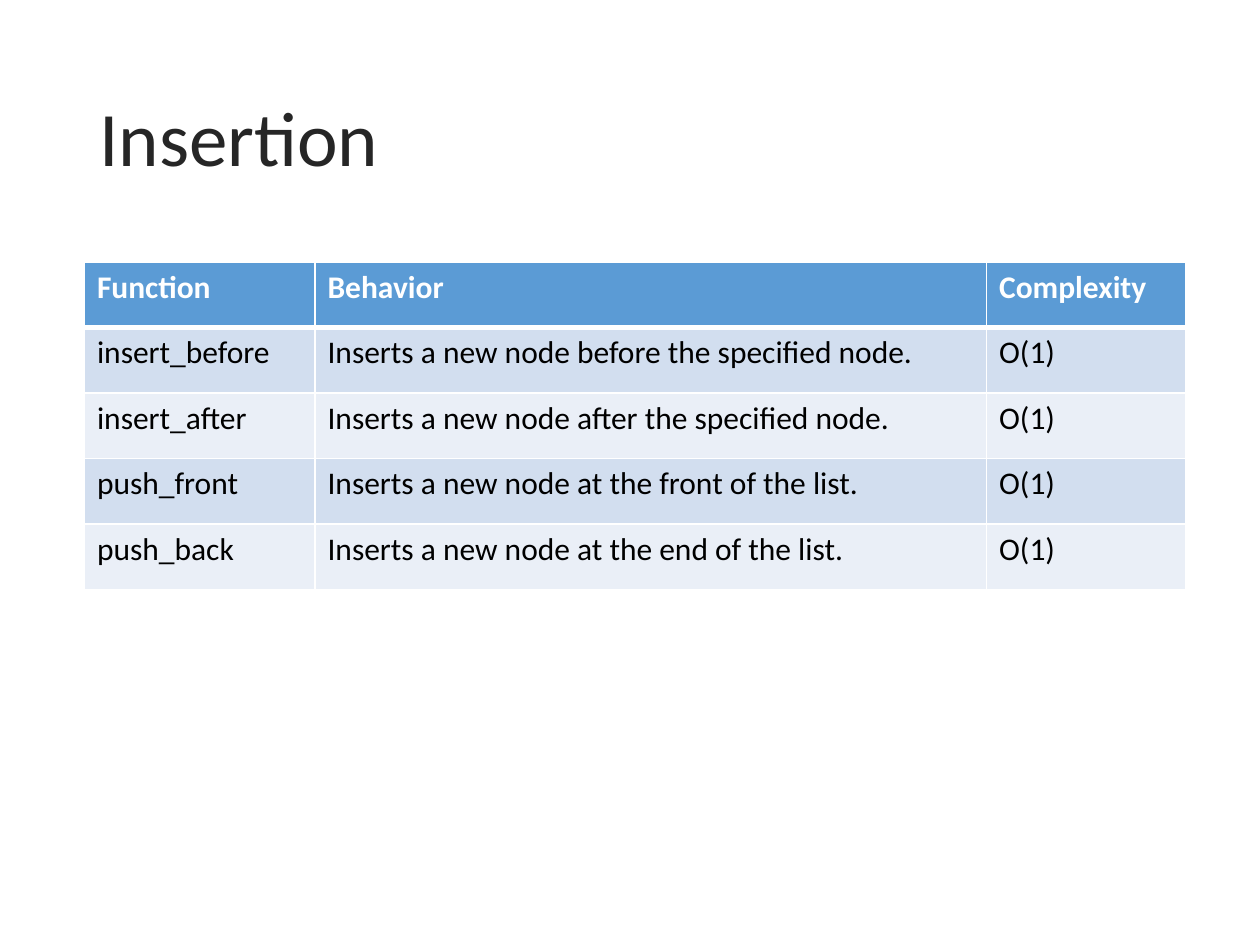
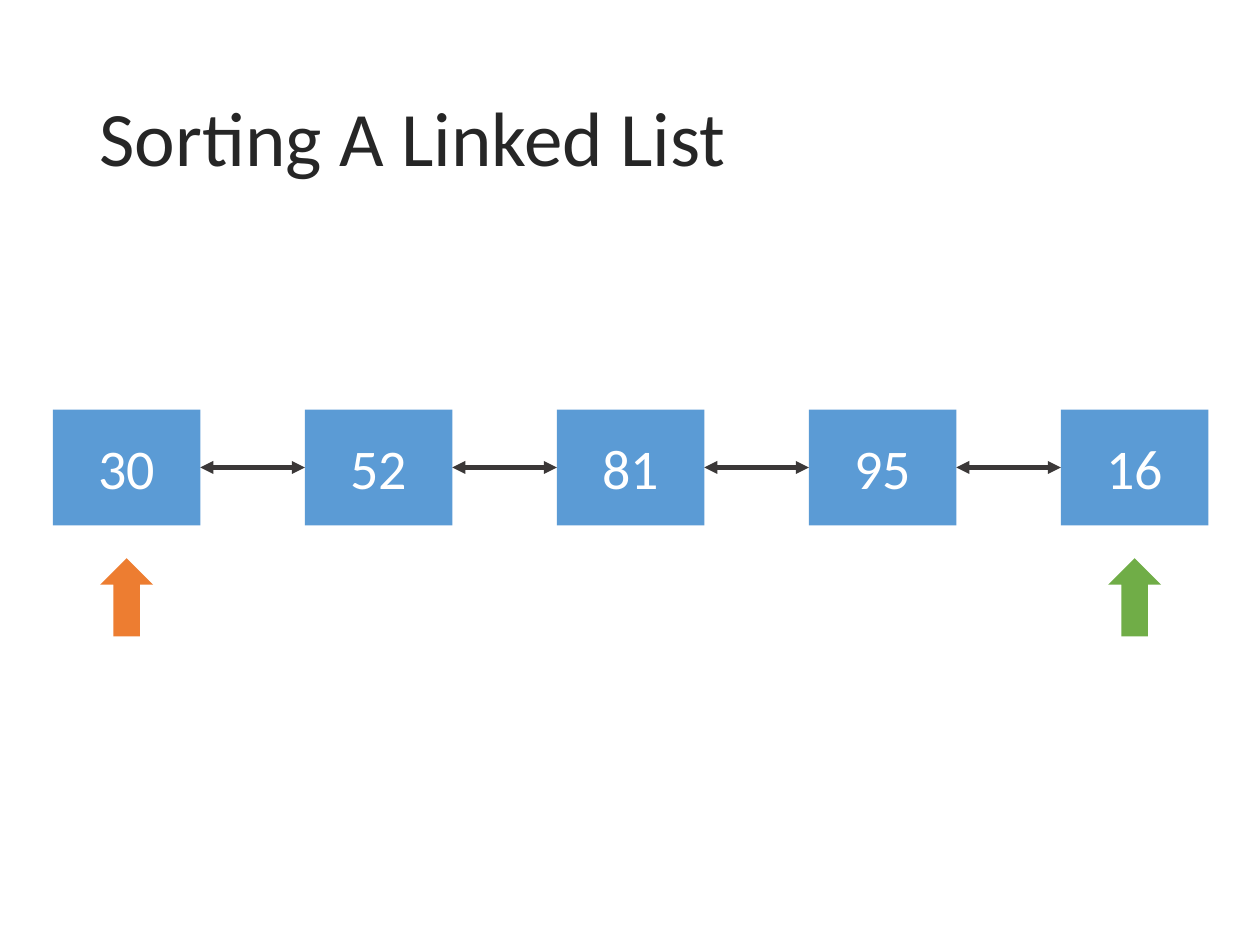
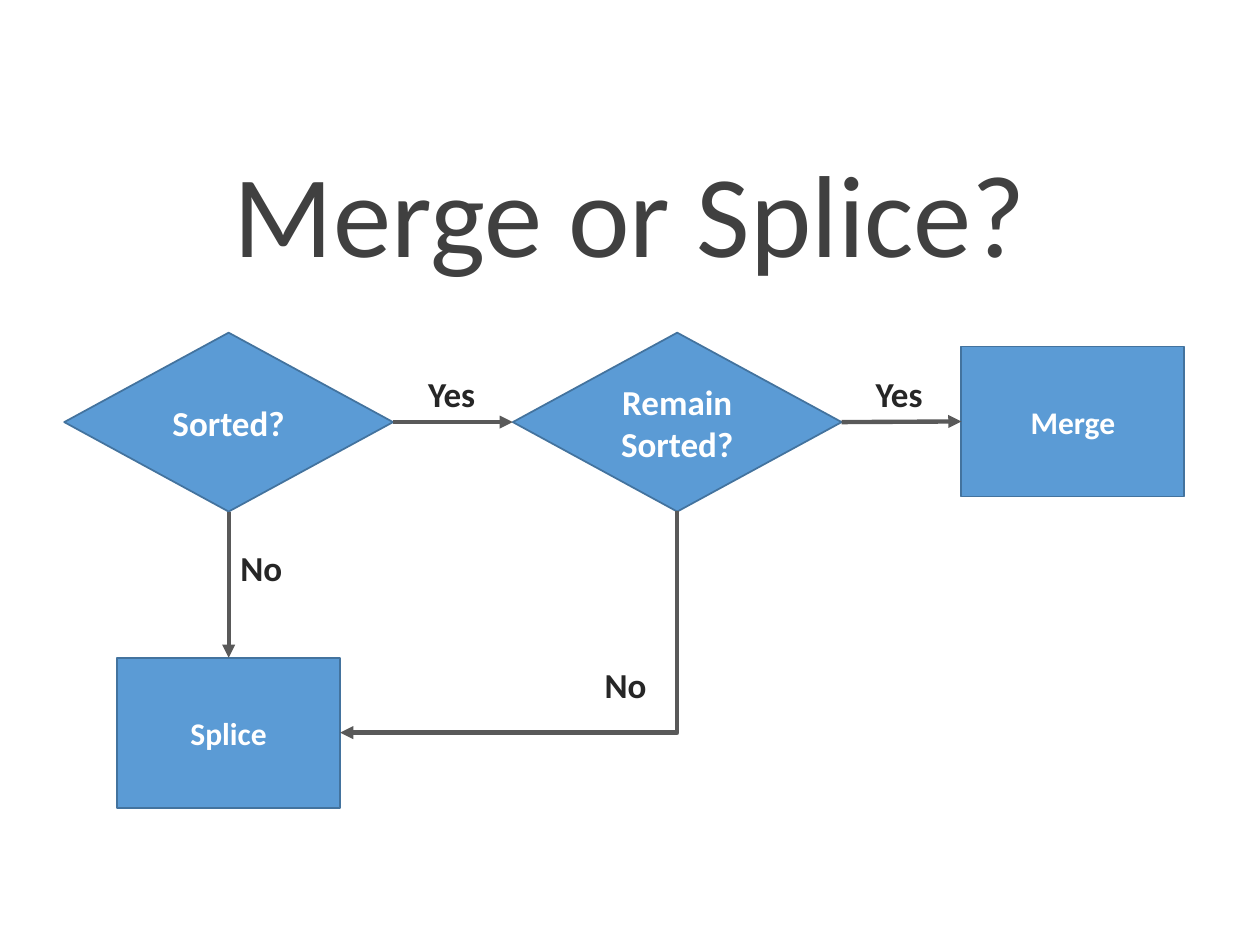
"""Build three slides on linked lists: a table, a node row and a flow chart."""
from dataclasses import dataclass

from pptx import Presentation
from pptx import util as u
from pptx.dml.color import RGBColor
from pptx.enum import shapes, text
from pptx.oxml.ns import qn
from lxml import etree

KIND = shapes.MSO_SHAPE
ALIGN = text.PP_ALIGN
TOP, LEFT, BOTTOM, RIGHT = range(4)


@dataclass(frozen=True)
class Theme:
    font: str = "Calibri"
    ink: str = "262626"
    soft: str = "404040"
    black: str = "000000"
    white: str = "FFFFFF"
    blue: str = "5B9BD5"
    edge: str = "43739E"
    bands: tuple = ("D2DEEF", "EAEFF7")
    link: str = "3B3838"
    flow: str = "595959"
    orange: str = "ED7D31"
    green: str = "70AD47"
    hero: float = 66.6
    title: float = 44
    node: float = 32
    step: float = 20
    small: float = 18
    stroke: float = 2.5


def rgb(code):
    return RGBColor.from_string(code)


def inch(*nums):
    return [u.Inches(n) for n in nums]


class Deck:
    def __init__(self, theme):
        self.theme = theme
        self.show = Presentation()
        self.show.slide_width, self.show.slide_height = inch(10, 7.5)
        self.slide = None

    def page(self, layout):
        self.slide = self.show.slides.add_slide(self.show.slide_layouts[layout])

    def put(self, frame, words, size, color, bold=False, align=ALIGN.LEFT):
        para = frame.paragraphs[0]
        para.alignment = align
        run = para.add_run()
        run.text = words
        font = run.font
        font.name, font.size, font.bold = self.theme.font, u.Pt(size), bold
        font.color.rgb = rgb(color)
        return para

    def place(self, holder, box):
        holder.left, holder.top, holder.width, holder.height = inch(*box)
        frame = holder.text_frame
        frame.word_wrap = True
        frame.auto_size = text.MSO_AUTO_SIZE.NONE
        return frame

    def title(self, words):
        self.page(5)
        frame = self.place(self.slide.shapes.title, (0.69, 0.4, 8.62, 1.45))
        frame.vertical_anchor = text.MSO_ANCHOR.MIDDLE
        para = self.put(frame, words, self.theme.title, self.theme.ink)
        para.line_spacing = 0.9

    def hero(self, words):
        self.page(1)
        empty = self.slide.shapes.title.element
        empty.getparent().remove(empty)
        frame = self.place(self.slide.placeholders[1], (0.69, 1.23, 8.62, 1.09))
        frame.vertical_anchor = text.MSO_ANCHOR.TOP
        frame.margin_top = u.Inches(0.1)
        props = frame.paragraphs[0]._p.get_or_add_pPr()
        props.set("marL", "0")
        props.set("indent", "0")
        etree.SubElement(props, qn("a:buNone"))
        para = self.put(frame, words, self.theme.hero, self.theme.soft,
                        align=ALIGN.CENTER)
        para.line_spacing = 0.8
        para.space_before = u.Pt(0)

    def shape(self, kind, box, fill, words="", size=0, bold=False, edge=None):
        item = self.slide.shapes.add_shape(kind, *inch(*box))
        item.shadow.inherit = False
        item.fill.solid()
        item.fill.fore_color.rgb = rgb(fill)
        if edge:
            item.line.color.rgb = rgb(edge)
            item.line.width = u.Pt(1)
        else:
            item.line.fill.background()
        if words:
            frame = item.text_frame
            frame.word_wrap = True
            frame.vertical_anchor = text.MSO_ANCHOR.MIDDLE
            self.put(frame, words, size, self.theme.white, bold, ALIGN.CENTER)
        return item

    def label(self, words, left, top):
        item = self.slide.shapes.add_textbox(*inch(left, top, 0.95, 0.44))
        frame = item.text_frame
        frame.word_wrap = True
        frame.auto_size = text.MSO_AUTO_SIZE.SHAPE_TO_FIT_TEXT
        self.put(frame, words, self.theme.step, self.theme.ink, True)

    def line(self, kind, ends, color, tips):
        item = self.slide.shapes.add_connector(kind, *ends)
        item.line.color.rgb = rgb(color)
        item.line.width = u.Pt(self.theme.stroke)
        props = item._element.spPr
        stroke = props.find(qn("a:ln"))
        for tip in tips:
            etree.SubElement(stroke, qn("a:" + tip), type="triangle")
        etree.SubElement(props, qn("a:effectLst"))
        return item

    def join(self, start, out, end, into, color, tips=("tailEnd",)):
        item = self.line(shapes.MSO_CONNECTOR.STRAIGHT, inch(0, 0, 0, 0),
                         color, tips)
        item.begin_connect(start, out)
        item.end_connect(end, into)

    def bend(self, start, end, color):
        x, y = start.left + start.width // 2, start.top + start.height
        to_x, to_y = end.left + end.width, end.top + end.height // 2
        mid_x, mid_y = (x + to_x) // 2, (y + to_y) // 2
        half_w, half_h = (to_y - y) // 2, (x - to_x) // 2
        ends = (mid_x - half_w, mid_y - half_h, mid_x + half_w, mid_y + half_h)
        item = self.line(shapes.MSO_CONNECTOR.ELBOW, ends, color, ("tailEnd",))
        props = item._element.spPr
        props.find(qn("a:xfrm")).set("rot", "5400000")
        props.find(qn("a:prstGeom")).set("prst", "bentConnector2")

    def border(self, cell, row):
        props = cell._tc.get_or_add_tcPr()
        for side in "LRTB":
            thick = (row, side) in ((0, "B"), (1, "T"))
            line = etree.SubElement(props, qn("a:ln" + side),
                                    w=str(u.Pt(3 if thick else 1)))
            fill = etree.SubElement(line, qn("a:solidFill"))
            etree.SubElement(fill, qn("a:srgbClr"), val=self.theme.white)

    def table(self, rows, left, top, widths, height):
        look = self.theme
        box = inch(left, top, sum(widths), height * len(rows))
        grid = self.slide.shapes.add_table(len(rows), len(widths), *box).table
        for col, width in zip(grid.columns, widths):
            col.width = u.Inches(width)
        for r, row in enumerate(rows):
            head = r == 0
            grid.rows[r].height = u.Inches(height)
            for c, words in enumerate(row):
                cell = grid.cell(r, c)
                self.border(cell, r)
                cell.fill.solid()
                cell.fill.fore_color.rgb = rgb(
                    look.blue if head else look.bands[(r - 1) % 2])
                self.put(cell.text_frame, words, look.small,
                         look.white if head else look.black, head)


def insertion(deck):
    deck.title("Insertion")
    rows = [("Function", "Behavior", "Complexity")]
    for name, spot in (("insert_before", "before the specified node"),
                       ("insert_after", "after the specified node"),
                       ("push_front", "at the front of the list"),
                       ("push_back", "at the end of the list")):
        rows.append((name, f"Inserts a new node {spot}.", "O(1)"))
    deck.table(rows, 0.67, 2.08, (1.83, 5.33, 1.58), 0.52)


def sorting(deck):
    look = deck.theme
    deck.title("Sorting A Linked List")
    left, pitch, width = 0.42, 2, 1.17
    nodes = [deck.shape(KIND.RECTANGLE, (left + i * pitch, 3.25, width, 0.92),
                        look.blue, value, look.node)
             for i, value in enumerate(("30", "52", "81", "95", "16"))]
    for one, two in zip(nodes, nodes[1:]):
        deck.join(one, RIGHT, two, LEFT, look.link, ("headEnd", "tailEnd"))
    size = 0.42
    for i, color in ((4, look.green), (0, look.orange)):
        x = left + i * pitch + (width - size) / 2
        deck.shape(KIND.UP_ARROW, (x, 4.43, size, 0.62), color)


def merging(deck):
    look = deck.theme
    deck.hero("Merge or Splice?")

    def ask(words, left):
        return deck.shape(KIND.FLOWCHART_DECISION, (left, 2.64, 2.61, 1.42),
                          look.blue, words, look.step, True, look.edge)

    def act(words, left, top):
        return deck.shape(KIND.FLOWCHART_PROCESS, (left, top, 1.77, 1.19),
                          look.blue, words, look.small, True, look.edge)

    first, second = ask("Sorted?", 0.51), ask("Remain Sorted?", 4.07)
    splice, merge = act("Splice", 0.93, 5.22), act("Merge", 7.63, 2.75)
    deck.join(first, RIGHT, second, LEFT, look.flow)
    deck.join(second, RIGHT, merge, LEFT, look.flow)
    deck.join(first, BOTTOM, splice, TOP, look.flow)
    deck.bend(second, splice, look.flow)
    for words, left, top in (("Yes", 3.3, 2.91), ("No", 4.7, 5.22),
                             ("Yes", 6.85, 2.91), ("No", 1.81, 4.29)):
        deck.label(words, left, top)


def main():
    deck = Deck(Theme())
    for build in (insertion, sorting, merging):
        build(deck)
    deck.show.save("out.pptx")


if __name__ == "__main__":
    main()
